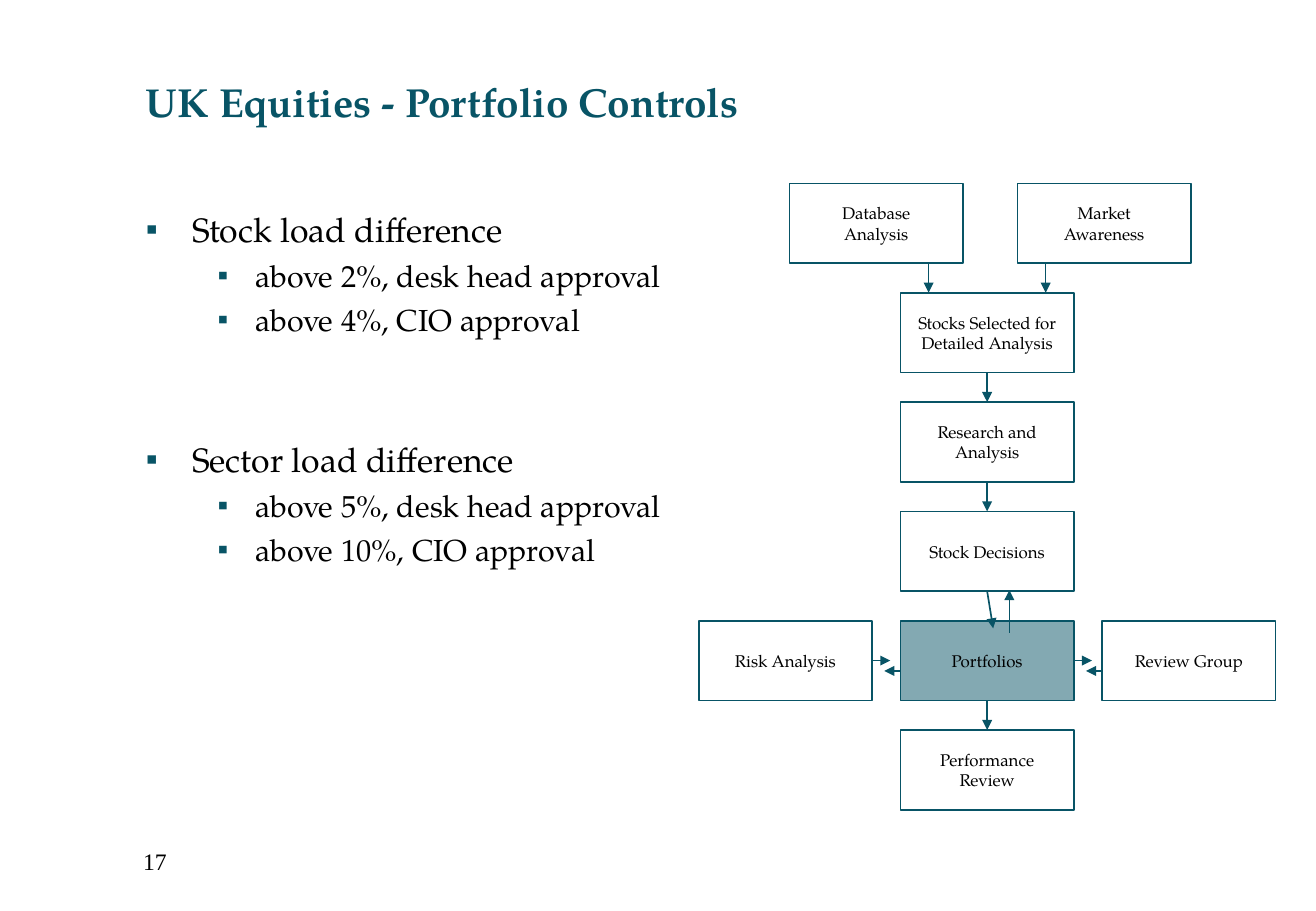
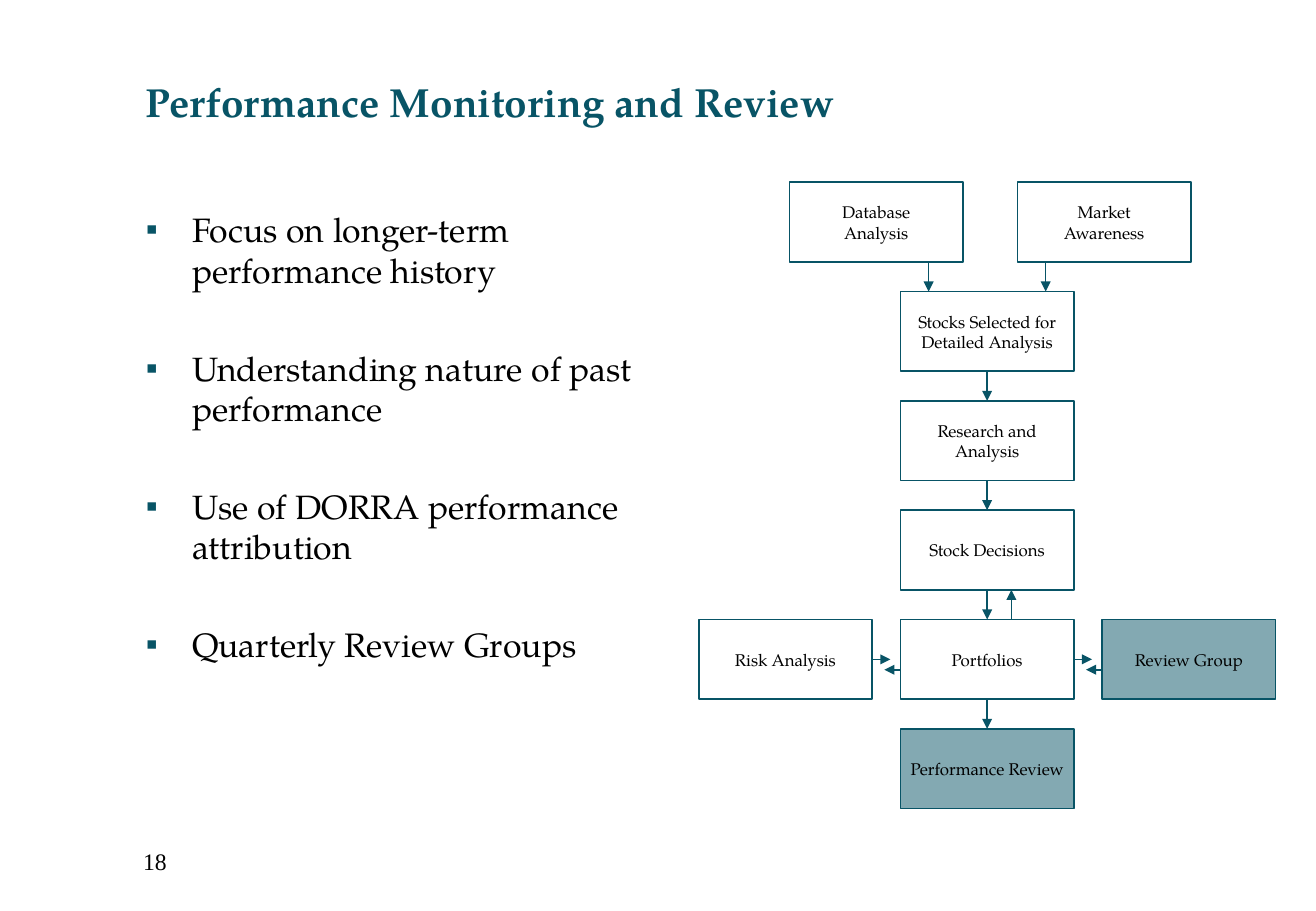
from dataclasses import dataclass

from lxml.etree import SubElement
from pptx import Presentation
from pptx.dml.color import RGBColor
from pptx.enum.shapes import MSO_CONNECTOR as Connector, MSO_SHAPE as Shape
from pptx.enum.text import MSO_ANCHOR as Anchor, MSO_AUTO_SIZE as AutoSize, PP_ALIGN as Align
from pptx.oxml.ns import qn
from pptx.util import Inches, Pt


@dataclass(frozen=True)
class Theme:
    teal: RGBColor = RGBColor(0x08, 0x54, 0x66)
    white: RGBColor = RGBColor(0xFF, 0xFF, 0xFF)
    black: RGBColor = RGBColor(0, 0, 0)
    serif: str = "TeX Gyre Pagella"
    number_font: str = "Times New Roman"
    bullet_font: str = "Arial"
    title_size: float = 24
    list_sizes: tuple = (20, 18)
    list_gaps: tuple = (5, 4.5)
    list_indents: tuple = ((0.38, -0.38), (0.9, -0.31))
    number_size: float = 14
    box_size: float = 10
    line_width: float = 1
    tint_alpha: int = 50000


# Slide size in inches; regions as percent of it: left, top, width, height
WIDTH, HEIGHT = 10.83, 7.5
TITLE_AREA = (10.16, 3.33, 81.35, 16.67)
LIST_AREA = (10.16, 22.27, 44.14, 58)
NUMBER_AREA = (9.97, 92.27, 21.5, 7.73)

# Flow chart grid in inches; box size in columns and rows
GRID_LEFT, COLUMN, ROW = 5.75, 1.66, 0.9
BOX_COLUMNS, BOX_ROWS = 0.86, 0.73
TOP, LEFT, BOTTOM, RIGHT = range(4)


def apply(target, values):
    for name, value in values.items():
        setattr(target, name, value)


class Page:
    """Holds the style and the slide being built."""

    def __init__(self, deck, theme, grid_top):
        self.theme = theme
        self.grid_top = grid_top
        self.slide = deck.slides.add_slide(deck.slide_layouts[1])
        self.boxes = {}

    def place(self, shape, area):
        sides = zip(("left", "top", "width", "height"), area, (WIDTH, HEIGHT) * 2)
        apply(shape, {name: Inches(share * full / 100) for name, share, full in sides})

    def point(self, column, row):
        return Inches(GRID_LEFT + column * COLUMN), Inches(self.grid_top + row * ROW)

    def font(self, target, size, color=None, name=None, bold=False):
        apply(target.font, {"size": Pt(size), "name": name or self.theme.serif, "bold": bold})
        target.font.color.rgb = color or self.theme.black

    def frame(self, shape, anchor, wrap=True):
        apply(shape.text_frame, {
            "auto_size": AutoSize.NONE, "word_wrap": wrap, "vertical_anchor": anchor,
            "margin_left": Inches(0.1), "margin_right": Inches(0.1),
            "margin_top": Inches(0.05), "margin_bottom": Inches(0.05)})
        return shape.text_frame

    def title(self, text):
        shape = self.slide.shapes.title
        self.place(shape, TITLE_AREA)
        para = self.frame(shape, Anchor.MIDDLE).paragraphs[0]
        apply(para, {"alignment": Align.LEFT, "line_spacing": 0.8})
        span = para.add_run()
        span.text = text
        self.font(span, self.theme.title_size, self.theme.teal, bold=True)

    def bullets(self, items, group_gap):
        """Items are (level, text); group_gap is the space before later top-level items."""
        shape = self.slide.placeholders[1]
        self.place(shape, LIST_AREA)
        frame = self.frame(shape, Anchor.TOP)
        for index, (level, text) in enumerate(items):
            para = frame.add_paragraph() if index else frame.paragraphs[0]
            starts_group = index and level == 0
            gap = group_gap if starts_group else self.theme.list_gaps[level]
            apply(para, {"level": level, "alignment": Align.LEFT, "space_before": Pt(gap)})
            span = para.add_run()
            span.text = text
            self.font(span, self.theme.list_sizes[level])
            self.bullet(para, *self.theme.list_indents[level])

    def bullet(self, para, margin, indent):
        props = para._p.get_or_add_pPr()
        props.set("marL", str(Inches(margin)))
        props.set("indent", str(Inches(indent)))
        color = SubElement(props, qn("a:buClr"))
        SubElement(color, qn("a:srgbClr"), val=str(self.theme.teal))
        SubElement(props, qn("a:buFont"), typeface=self.theme.bullet_font)
        SubElement(props, qn("a:buChar"), char="▪")

    def number(self, value):
        box = self.slide.shapes.add_textbox(0, 0, 0, 0)
        self.place(box, NUMBER_AREA)
        span = self.frame(box, Anchor.TOP).paragraphs[0].add_run()
        span.text = str(value)
        self.font(span, self.theme.number_size, name=self.theme.number_font)

    def box(self, key, column, row, text, tinted=False):
        box = self.slide.shapes.add_shape(
            Shape.RECTANGLE, *self.point(column, row),
            Inches(BOX_COLUMNS * COLUMN), Inches(BOX_ROWS * ROW))
        box.shadow.inherit = False
        box.fill.solid()
        box.fill.fore_color.rgb = self.theme.teal if tinted else self.theme.white
        if tinted:
            color = box._element.spPr.find(qn("a:solidFill"))[0]
            SubElement(color, qn("a:alpha"), val=str(self.theme.tint_alpha))
        self.outline(box)
        frame = self.frame(box, Anchor.MIDDLE, wrap=False)
        frame.text = text
        for para in frame.paragraphs:
            para.alignment = Align.CENTER
            self.font(para.runs[0], self.theme.box_size)
        self.boxes[key] = box

    def outline(self, shape):
        shape.line.color.rgb = self.theme.teal
        shape.line.width = Pt(self.theme.line_width)

    def arrow(self, start, end):
        """Each end is (box key, side) or a free (column, row) point."""
        joined = [isinstance(stop[0], str) for stop in (start, end)]
        points = [(0, 0) if join else self.point(*stop)
                  for join, stop in zip(joined, (start, end))]
        arrow = self.slide.shapes.add_connector(Connector.STRAIGHT, *points[0], *points[1])
        connects = (arrow.begin_connect, arrow.end_connect)
        for join, connect, stop in zip(joined, connects, (start, end)):
            if join:
                connect(self.boxes[stop[0]], stop[1])
        self.outline(arrow)
        SubElement(arrow.line._get_or_add_ln(), qn("a:tailEnd"), type="triangle")
        SubElement(arrow._element.spPr, qn("a:effectLst"))

    def flow_chart(self, tinted, review_text, to_portfolios, feedback):
        """Draw the process; the two arrows above the portfolios vary by slide."""
        steps = (
            ("database", 0.45, 0, "Database\nAnalysis"),
            ("market", 1.58, 0, "Market\nAwareness"),
            ("selected", 1, 1, "Stocks Selected for\nDetailed Analysis"),
            ("research", 1, 2, "Research and\nAnalysis"),
            ("decisions", 1, 3, "Stock Decisions"),
            ("portfolios", 1, 4, "Portfolios"),
            ("performance", 1, 5, review_text),
            ("risk", 0, 4, "Risk Analysis"),
            ("group", 2, 4, "Review Group"),
        )
        for key, column, row, text in steps:
            self.box(key, column, row, text, key in tinted)

        # Inputs to the selection
        for column in (1.14, 1.72):
            self.arrow((column, BOX_ROWS), (column, 1))
        # Main chain
        for upper, lower in (("selected", "research"), ("research", "decisions"),
                             ("portfolios", "performance")):
            self.arrow((upper, BOTTOM), (lower, TOP))
        self.arrow(("decisions", BOTTOM), to_portfolios)
        self.arrow(*feedback)
        # Exchanges on both sides of the portfolios
        middle = 4 + BOX_ROWS / 2
        for key, column in (("risk", 1), ("portfolios", 2)):
            self.arrow((key, RIGHT), (column - 0.05, middle))
            self.arrow((column, 4.46), (column - 0.08, 4.46))


def main():
    deck = Presentation()
    apply(deck, {"slide_width": Inches(WIDTH), "slide_height": Inches(HEIGHT)})
    theme = Theme()

    # Portfolio controls
    page = Page(deck, theme, grid_top=1.51)
    page.flow_chart({"portfolios"}, "Performance\nReview",
                    to_portfolios=(1.46, 4.07), feedback=((1.54, 4.11), (1.54, 3.72)))
    page.title("UK Equities - Portfolio Controls")
    page.bullets([
        (0, "Stock load difference"),
        (1, "above 2%, desk head approval"),
        (1, "above 4%, CIO approval"),
        (0, "Sector load difference"),
        (1, "above 5%, desk head approval"),
        (1, "above 10%, CIO approval"),
    ], group_gap=60)
    page.number(17)

    # Performance monitoring
    page = Page(deck, theme, grid_top=1.5)
    page.flow_chart({"performance", "group"}, "Performance Review",
                    to_portfolios=("portfolios", TOP), feedback=((1.55, 4), (1.55, BOX_ROWS + 3)))
    page.title("Performance Monitoring and Review")
    page.bullets([
        (0, "Focus on longer-term performance history"),
        (0, "Understanding nature of past performance"),
        (0, "Use of DORRA performance attribution"),
        (0, "Quarterly Review Groups"),
    ], group_gap=34)
    page.number(18)

    deck.save("out.pptx")


if __name__ == "__main__":
    main()
